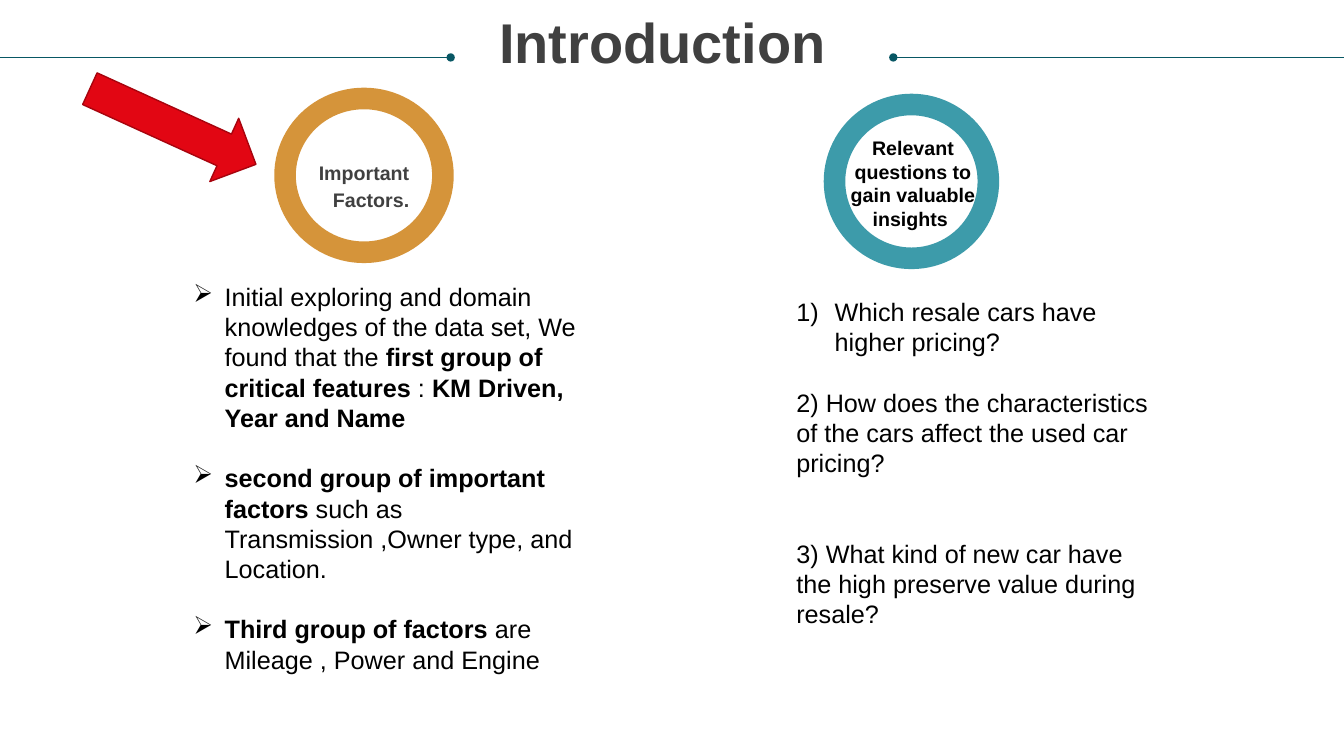
from pptx import Presentation
from pptx.dml.color import RGBColor
from pptx.enum.shapes import MSO_CONNECTOR, MSO_SHAPE
from pptx.enum.text import MSO_AUTO_SIZE, PP_ALIGN
from pptx.oxml.ns import qn
from pptx.util import Inches, Pt
from lxml.etree import SubElement

COLORS = {
    "rule": "085764",
    "orange": "CB7A09",
    "teal": "0D8295",
    "red": "E20613",
    "dark_red": "A7040E",
    "gray": "404040",
    "black": "000000",
}
FONT = "Arial"
RULE_Y = 0.57
LINE = 21.6  # height of one 18 pt line, in points


def rgb(name):
    return RGBColor.from_string(COLORS[name])


def add_rule(s, x_dot, x_edge):
    """Thin horizontal line from a dot to the slide edge."""
    c = s.shapes.add_connector(MSO_CONNECTOR.STRAIGHT, Inches(x_dot), Inches(RULE_Y),
                               Inches(x_edge), Inches(RULE_Y))
    c.line.color.rgb = rgb("rule")
    c.line.width = Pt(0.5)
    SubElement(c.line._get_or_add_ln(), qn("a:headEnd"), type="oval")
    SubElement(c._element.spPr, qn("a:effectLst"))


def add_preset(s, kind, box, fill):
    shape = s.shapes.add_shape(kind, *map(Inches, box))
    shape.shadow.inherit = False
    shape.fill.solid()
    shape.fill.fore_color.rgb = rgb(fill)
    shape.line.fill.background()
    return shape


def add_ring(s, box, fill):
    ring = add_preset(s, MSO_SHAPE.DONUT, box, fill)
    ring.adjustments[0] = 0.123
    color = ring._element.spPr.find(qn("a:solidFill"))[0]
    SubElement(color, qn("a:alpha"), val="80000")


def add_arrow(s, box, rotation):
    arrow = add_preset(s, MSO_SHAPE.DOWN_ARROW, box, "red")
    arrow.rotation = rotation
    arrow.line.color.rgb = rgb("dark_red")
    arrow.line.width = Pt(1)


def set_marker(p, indent, tag, **attrs):
    """Give a paragraph a hanging bullet or number."""
    pPr = p._p.get_or_add_pPr()
    pPr.set("marL", str(Inches(indent)))
    pPr.set("indent", str(-Inches(indent)))
    SubElement(pPr, qn(tag), **attrs)


def add_text(s, box, paragraphs, size=18, color="black", bold=False,
             align=PP_ALIGN.LEFT, spacing=None, margin=None, gaps=()):
    """Each paragraph is a list of runs; a run starting with * has its bold flipped."""
    tf = s.shapes.add_textbox(*map(Inches, box)).text_frame
    tf.word_wrap = True
    tf.auto_size = MSO_AUTO_SIZE.SHAPE_TO_FIT_TEXT
    if margin is not None:
        tf.margin_left = tf.margin_right = tf.margin_top = tf.margin_bottom = Inches(margin)
    for i, runs in enumerate(paragraphs):
        p = tf.add_paragraph() if i else tf.paragraphs[0]
        p.alignment = align
        if spacing:
            p.line_spacing = Pt(spacing)
        if i:
            p.space_before = Pt(gaps[i - 1])
        for text in runs:
            r = p.add_run()
            r.text = text.removeprefix("*")
            r.font.name = FONT
            r.font.size = Pt(size)
            r.font.bold = bold != text.startswith("*")
            r.font.color.rgb = rgb(color)
    return tf


def main():
    prs = Presentation()
    prs.slide_width, prs.slide_height = Inches(13.33), Inches(7.5)
    s = prs.slides.add_slide(prs.slide_layouts[6])

    add_rule(s, 8.86, 13.33)
    add_rule(s, 4.47, 0)
    add_ring(s, (2.72, 0.87, 1.78, 1.74), "orange")
    add_ring(s, (8.17, 0.93, 1.74, 1.74), "teal")

    add_text(s, (3.09, 1.57, 0.97, 0.51), [["Important Factors."]], size=14,
             color="gray", bold=True, align=PP_ALIGN.RIGHT, spacing=19, margin=0)
    add_text(s, (8.4, 1.35, 1.31, 0.94), [["Relevant questions to gain valuable insights "]],
             size=14, bold=True, align=PP_ALIGN.CENTER, margin=0)
    add_text(s, (4.47, 0.03, 4.2, 1.08), [["Introduction"]], size=40, color="gray",
             bold=True, align=PP_ALIGN.CENTER)

    factors = add_text(s, (1.82, 2.74, 4.09, 3.74), [
        ["Initial exploring and domain knowledges of the data set, We found that the ",
         "*first group of critical features", " : ", "*KM Driven, Year and Name"],
        ["*second group of important factors",
         " such as Transmission ,Owner type, and Location."],
        ["*Third group of factors", " are Mileage , Power and Engine"],
    ], gaps=(LINE, LINE))
    for p in factors.paragraphs:
        set_marker(p, 0.31, "a:buChar", char="➢")

    questions = add_text(s, (7.8, 2.89, 3.81, 3.43), [
        ["Which resale cars have higher pricing?"],
        ["2) How does the characteristics of the cars affect the used car pricing?"],
        ["3) What kind of new car have the high preserve value during resale?"],
    ], gaps=(LINE, 2 * LINE))
    set_marker(questions.paragraphs[0], 0.38, "a:buAutoNum", type="arabicParenR")

    add_arrow(s, (1.37, 0.35, 0.69, 1.81), 294.5)
    prs.save("out.pptx")


if __name__ == "__main__":
    main()
